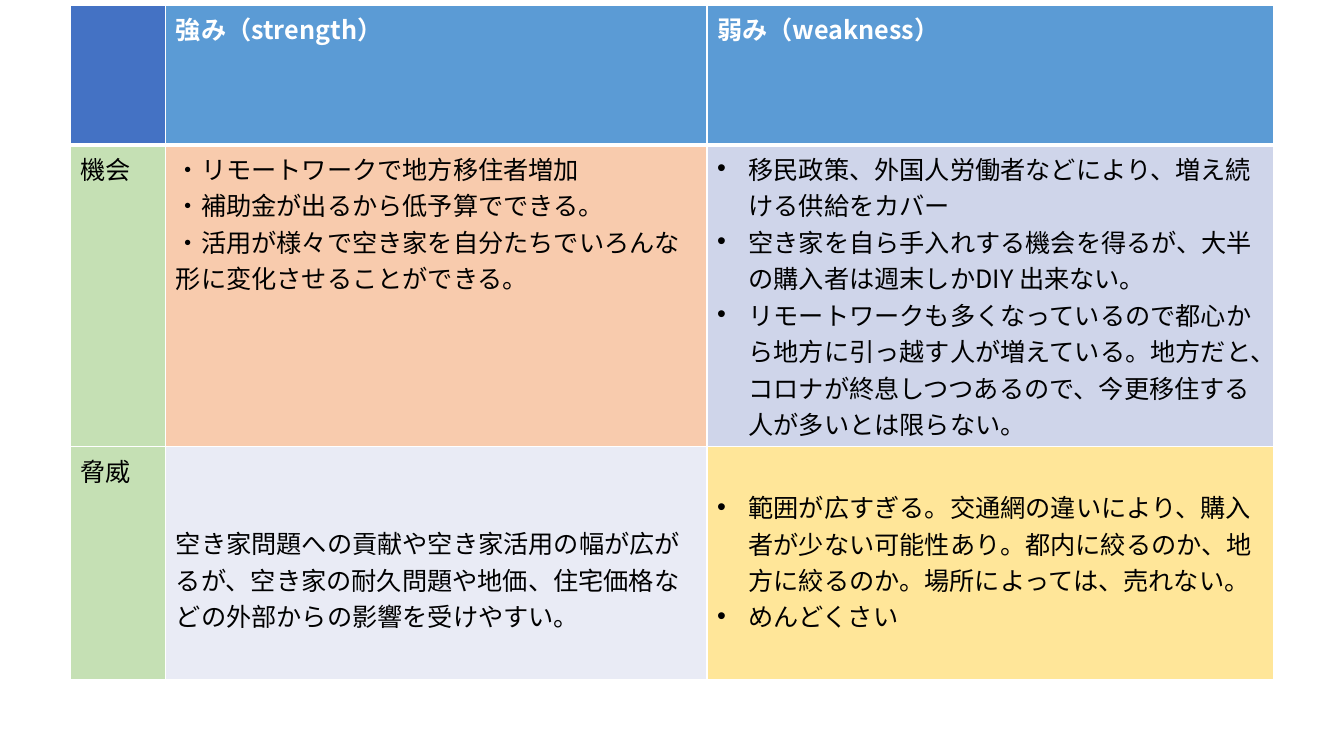
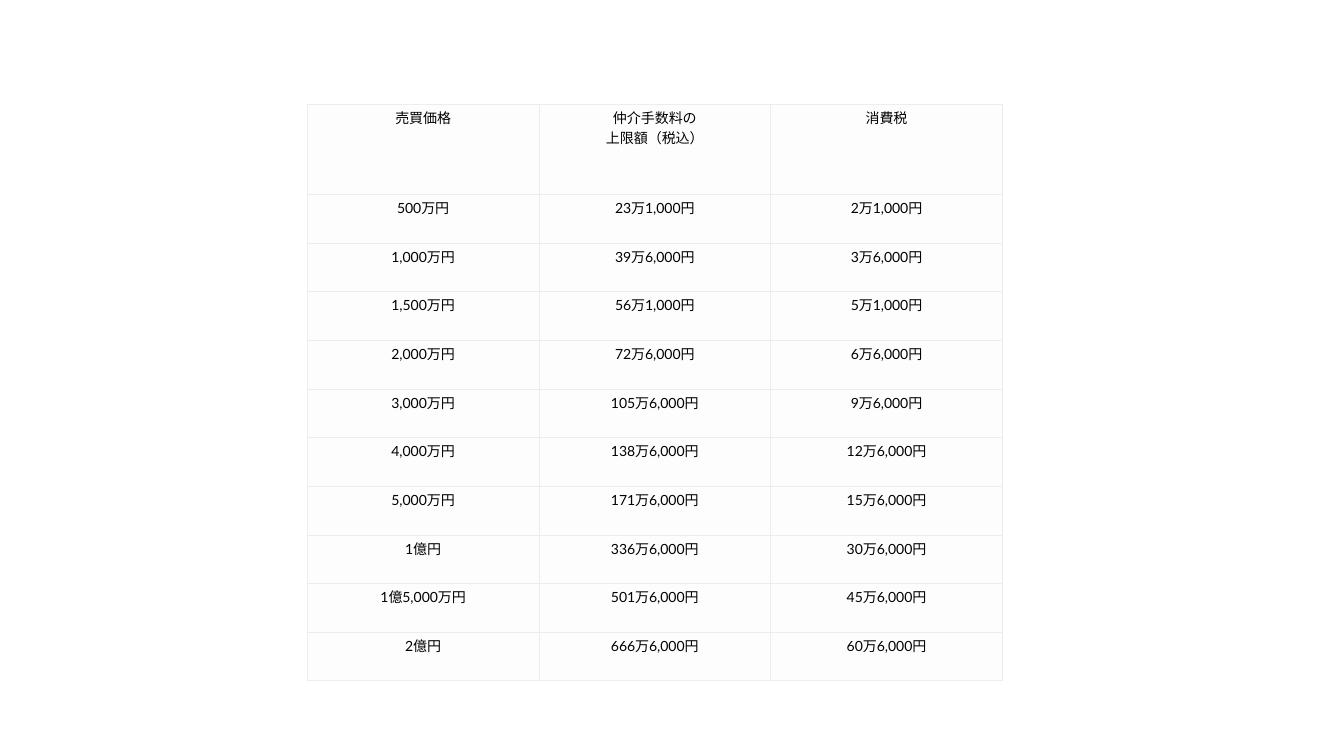
from lxml import etree
from pptx import Presentation
from pptx.dml.color import RGBColor
from pptx.enum.text import PP_ALIGN
from pptx.oxml.ns import qn
from pptx.util import Pt

HUES = {
    "white": "FFFFFF", "black": "000000", "navy": "4472C4", "blue": "5B9BD5",
    "green": "C5E0B4", "peach": "F8CBAD", "lilac": "CFD5EA", "mist": "E9EBF5",
    "gold": "FFE699", "pale": "FDFDFD", "grey": "EDEDED",
}
CJK = "Noto Sans CJK JP"
LINE = 26

SWOT = [
    [("navy", []), ("blue", ["強み（strength）"]), ("blue", ["弱み（weakness）"])],
    [("green", ["機会"]),
     ("peach", ["・リモートワークで地方移住者増加",
                "・補助金が出るから低予算でできる。",
                "・活用が様々で空き家を自分たちでいろんな形に変化させることができる。"]),
     ("lilac", ["移民政策、外国人労働者などにより、増え続ける供給をカバー",
                "空き家を自ら手入れする機会を得るが、大半の購入者は週末しかDIY 出来ない。",
                "リモートワークも多くなっているので都心から地方に引っ越す人が増えている。"
                "地方だと、コロナが終息しつつあるので、今更移住する人が多いとは限らない。"])],
    [("green", ["脅威"]),
     ("mist", ["空き家問題への貢献や空き家活用の幅が広がるが、"
               "空き家の耐久問題や地価、住宅価格などの外部からの影響を受けやすい。"]),
     ("gold", ["範囲が広すぎる。交通網の違いにより、購入者が少ない可能性あり。"
               "都内に絞るのか、地方に絞るのか。場所によっては、売れない。",
               "めんどくさい"])],
]
BULLETS = {"lilac", "gold"}
SKIP = {"mist": 2, "gold": 1}

FEES = [
    ("売買価格", "仲介手数料の\n上限額（税込）", "消費税"),
    ("500万円", "23万1,000円", "2万1,000円"),
    ("1,000万円", "39万6,000円", "3万6,000円"),
    ("1,500万円", "56万1,000円", "5万1,000円"),
    ("2,000万円", "72万6,000円", "6万6,000円"),
    ("3,000万円", "105万6,000円", "9万6,000円"),
    ("4,000万円", "138万6,000円", "12万6,000円"),
    ("5,000万円", "171万6,000円", "15万6,000円"),
    ("1億円", "336万6,000円", "30万6,000円"),
    ("1億5,000万円", "501万6,000円", "45万6,000円"),
    ("2億円", "666万6,000円", "60万6,000円"),
]


def rgb(hue):
    return RGBColor.from_string(HUES[hue])


def grid(deck, left, top, cols, rows):
    slide = deck.slides.add_slide(deck.slide_layouts[6])
    table = slide.shapes.add_table(len(rows), len(cols), Pt(left), Pt(top),
                                   Pt(sum(cols)), Pt(sum(rows))).table
    table.first_row = table.horz_banding = False
    for col, wide in zip(table.columns, cols):
        col.width = Pt(wide)
    for row, high in zip(table.rows, rows):
        row.height = Pt(high)
    return table


def paint(cell, fill, edge, widths):
    cell.fill.solid()
    cell.fill.fore_color.rgb = rgb(fill)
    props = cell._tc.get_or_add_tcPr()
    for spot, (side, wide) in enumerate(zip("LRTB", widths)):
        line = etree.Element(qn("a:ln" + side), w=str(Pt(wide)))
        solid = etree.SubElement(line, qn("a:solidFill"))
        etree.SubElement(solid, qn("a:srgbClr"), val=HUES[edge])
        props.insert(spot, line)


def inset(cell, side, top, base):
    cell.margin_left = cell.margin_right = Pt(side)
    cell.margin_top, cell.margin_bottom = Pt(top), Pt(base)


def write(para, words, font, size, hue="black", bold=False):
    for spot, part in enumerate(words.split("\n")):
        if spot:
            para.add_line_break()
        run = para.add_run()
        run.text = part
        face = run.font
        face.name, face.size, face.bold = font, Pt(size), bold
        face.color.rgb = rgb(hue)
        etree.SubElement(run._r.get_or_add_rPr(), qn("a:ea"), typeface=CJK)


def bullet(para):
    props = para._p.get_or_add_pPr()
    props.set("marL", str(Pt(22.5)))
    props.set("indent", str(-Pt(22.5)))
    etree.SubElement(props, qn("a:buFont"), typeface="Arial")
    etree.SubElement(props, qn("a:buChar"), char="•")


def swot(deck):
    table = grid(deck, 50, 3.6, [68.4, 386.6, 404.6], [100, 215, 166.5])
    for r, row in enumerate(SWOT):
        head = r == 0
        for c, (fill, lines) in enumerate(row):
            cell = table.cell(r, c)
            paint(cell, fill, "white",
                  (1, 1, 3 if r == 1 else 1, 3 if head else 1))
            inset(cell, 7.2, 3.6 + LINE * SKIP.get(fill, 0), 3.6)
            frame = cell.text_frame
            for n, words in enumerate(lines):
                para = frame.add_paragraph() if n else frame.paragraphs[0]
                if fill in BULLETS:
                    bullet(para)
                write(para, words, CJK, 18, "white" if head else "black", head)


def fees(deck):
    table = grid(deck, 219.5, 74.6, [165.5] * 3,
                 [64.4] + [34.75] * (len(FEES) - 1))
    for r, row in enumerate(FEES):
        for c, words in enumerate(row):
            cell = table.cell(r, c)
            paint(cell, "pale", "grey", [0.5] * 4)
            inset(cell, 4.3, 2.2, 2.2)
            para = cell.text_frame.paragraphs[0]
            para.alignment = PP_ALIGN.CENTER
            write(para, words, "Lato", 10)


deck = Presentation()
deck.slide_width, deck.slide_height = Pt(960), Pt(540)
swot(deck)
fees(deck)
deck.save("out.pptx")
